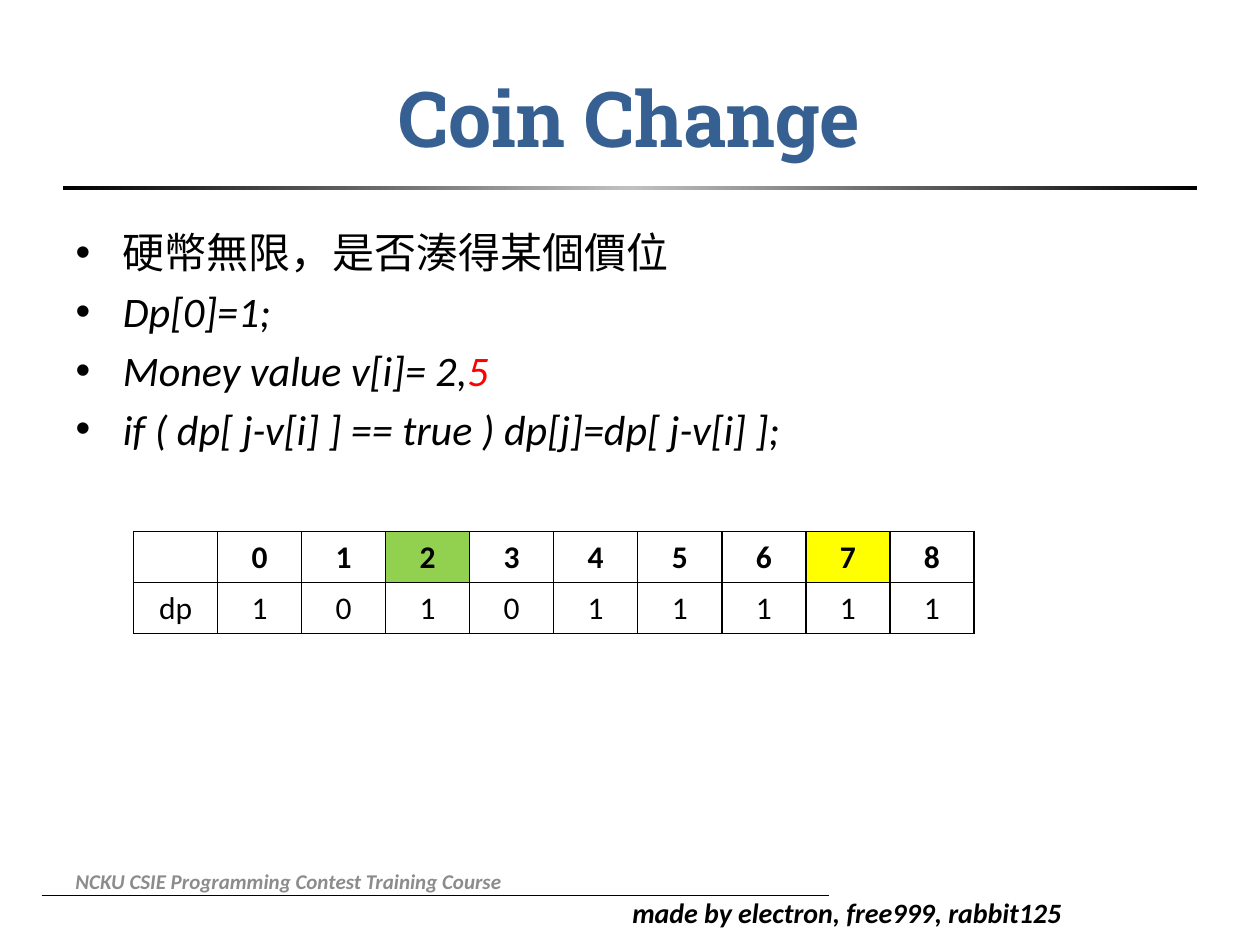
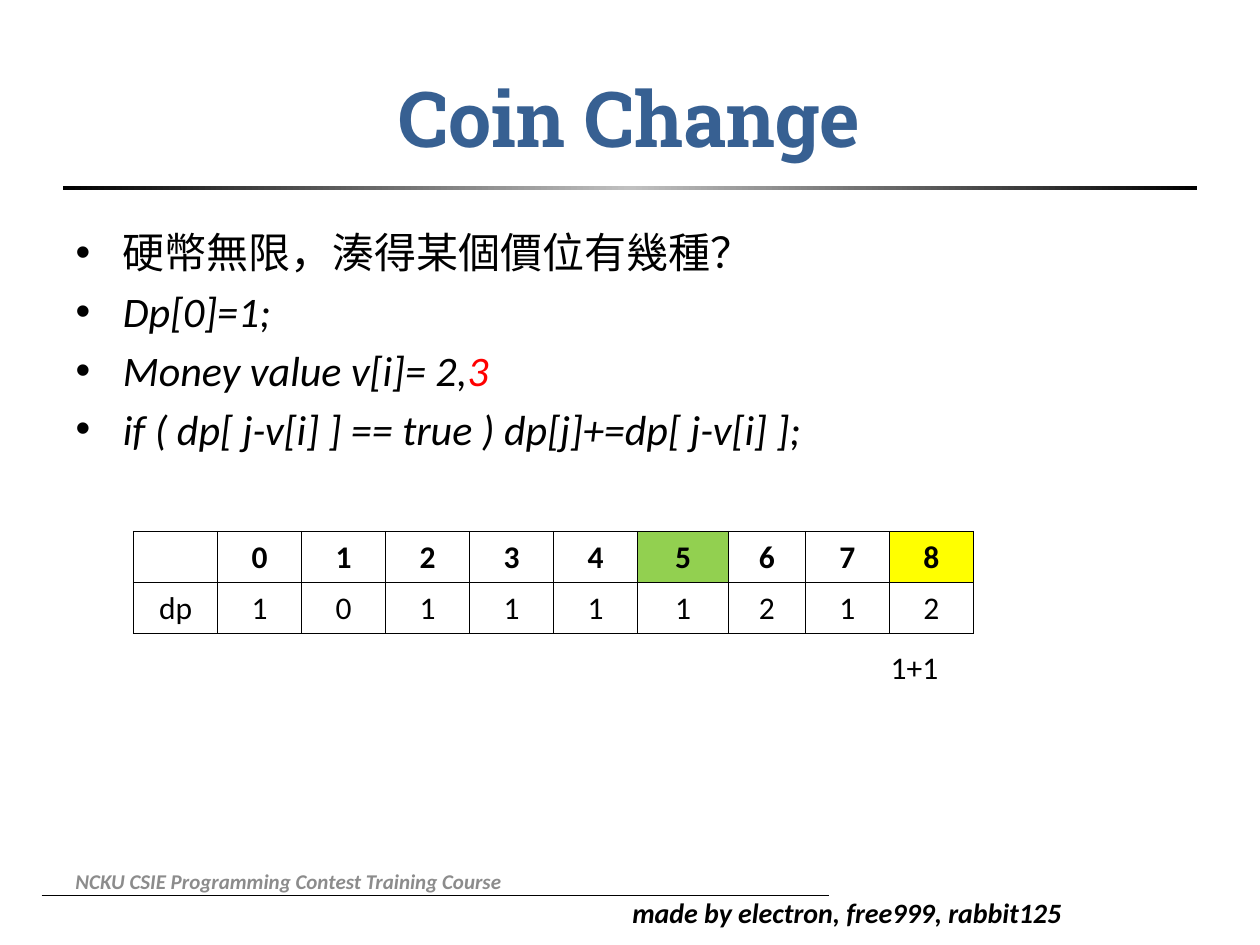
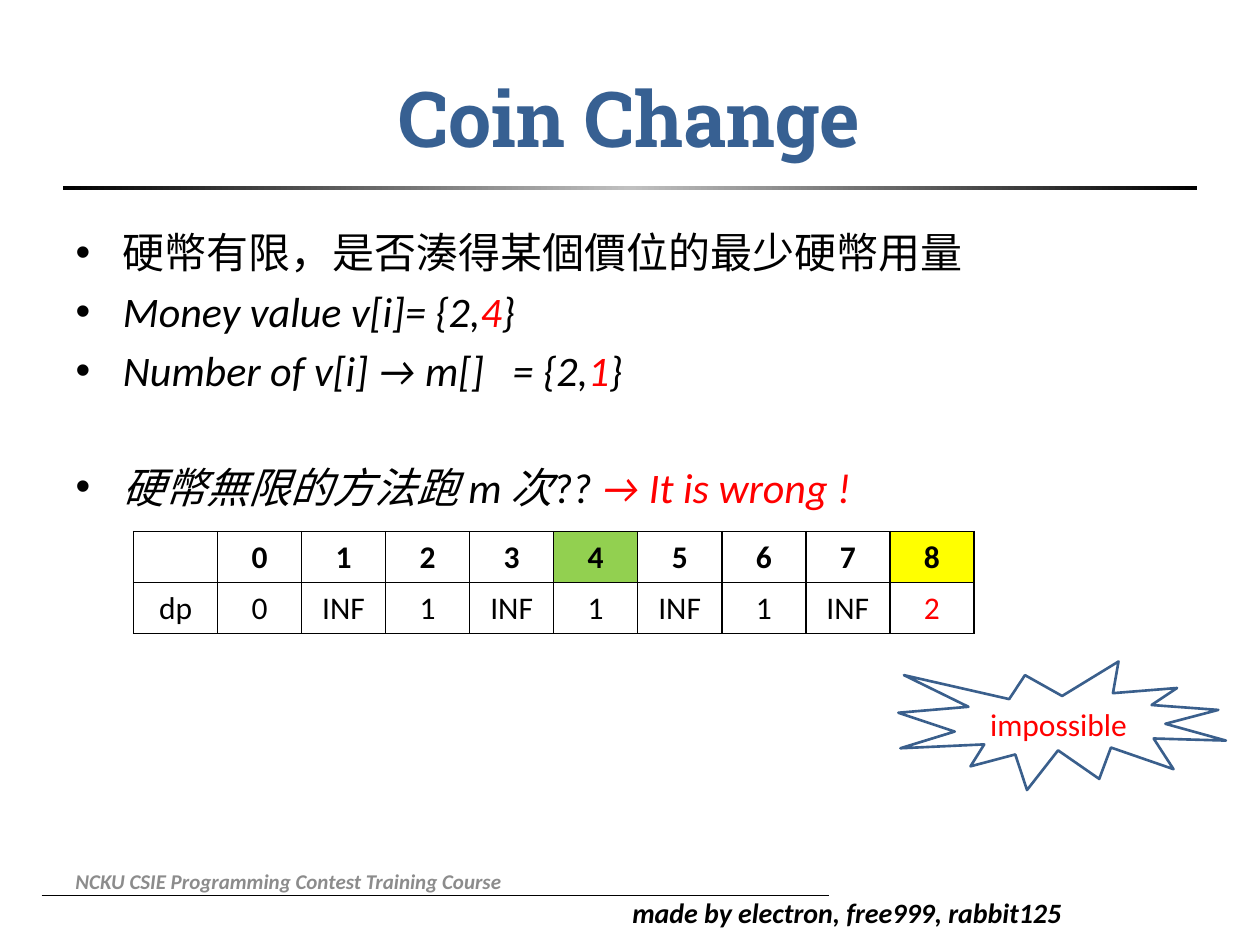
from copy import deepcopy

from lxml import etree
from pptx import Presentation
from pptx.dml.color import RGBColor
from pptx.enum.shapes import MSO_CONNECTOR, MSO_SHAPE
from pptx.enum.text import MSO_ANCHOR, PP_ALIGN
from pptx.oxml.ns import qn
from pptx.util import Inches, Pt

LINE = MSO_CONNECTOR.STRAIGHT
RECT = MSO_SHAPE.RECTANGLE
BURST = MSO_SHAPE.EXPLOSION1
CENTER = PP_ALIGN.CENTER
MIDDLE = MSO_ANCHOR.MIDDLE
TOP = MSO_ANCHOR.TOP

BODY_FONT = "Calibri"
TITLE_FONT = "Roboto Slab"
BLACK = "000000"
WHITE = "FFFFFF"
SILVER = "C0C0C0"
GRAY = "8C8C8C"
BLUE = "376092"
OUTLINE = "3A5F8C"
RED = "FF0000"
GREEN = "92D050"
YELLOW = "FFFF00"

TITLE_BOX = (0.5, 0.3, 9, 1.25)
RULE_BOX = (0.5, 1.48, 9, 0.03)
BODY_BOX = (0.5, 1.75, 9, 4.95)
TABLE_BOX = (1.06, 4.22, 6.67, 0.81)
COURSE_BOX = (0.5, 6.79, 5.05, 0.4)
AUTHORS_BOX = (4.92, 7.06, 3.86, 0.37)
SUM_BOX = (6.97, 5.09, 1.02, 0.4)
BURST_BOX = (7.13, 5.25, 2.6, 1.02)
BURST_TEXT_BOX = (7.76, 5.55, 1.5, 0.4)


def rgb(color):
    return RGBColor.from_string(color)


def emu(box):
    return [Inches(v) for v in box]


def place(sp, box):
    sp.left, sp.top, sp.width, sp.height = emu(box)


def set_font(font, size, color=BLACK, name=BODY_FONT, bold=False, italic=False):
    font.name, font.size = name, Pt(size)
    font.bold, font.italic = bold, italic
    font.color.rgb = rgb(color)


def add_text(s, box, text, size, anchor=TOP, **style):
    tf = s.shapes.add_textbox(*emu(box)).text_frame
    tf.word_wrap = True
    tf.vertical_anchor = anchor
    p = tf.paragraphs[0]
    p.text = text
    set_font(p.font, size, **style)


def add_title(s, box, text):
    sp = s.shapes.title
    place(sp, box)
    sp.text_frame.vertical_anchor = MIDDLE
    p = sp.text_frame.paragraphs[0]
    p.text = text
    p.alignment = CENTER
    set_font(p.font, 44, BLUE, TITLE_FONT, bold=True)


def add_rule(s, box):
    sp = s.shapes.add_shape(RECT, *emu(box))
    sp.shadow.inherit = False
    sp.line.fill.background()
    sp.fill.gradient()
    sp.fill.gradient_angle = 0
    stop_list = next(sp.element.iter(qn("a:gsLst")))
    stop_list.insert(1, deepcopy(stop_list[0]))
    colors = ((0, BLACK), (0.5, SILVER), (1, BLACK))
    for stop, (position, color) in zip(sp.fill.gradient_stops, colors):
        stop.position = position
        stop.color.rgb = rgb(color)


def add_footer(s):
    cxn = s.shapes.add_connector(LINE, *emu((0.33, 7.11, 6.58, 7.11)))
    cxn.line.color.rgb = rgb(BLACK)
    cxn.line.width = Pt(0.5)
    etree.SubElement(cxn.element.spPr, qn("a:effectLst"))
    add_text(s, AUTHORS_BOX, "made by electron, free999, rabbit125", 16,
             bold=True, italic=True)
    add_text(s, COURSE_BOX, "NCKU CSIE Programming Contest Training Course", 12,
             MIDDLE, color=GRAY, bold=True, italic=True)


def add_bullets(s, box, items, gap_before=None):
    sp = s.placeholders[1]
    place(sp, box)
    tf = sp.text_frame
    for i, item in enumerate(items):
        p = tf.paragraphs[0] if i == 0 else tf.add_paragraph()
        set_font(p.font, 24, italic=i > 0)
        if i == gap_before:
            p.space_before = Pt(38)
        for part in item:
            text, color = part if isinstance(part, tuple) else (part, None)
            r = p.add_run()
            r.text = text
            if color:
                r.font.color.rgb = rgb(color)
            if text == " ":
                r.font._element.set("spc", "1080")


def add_borders(cell):
    tcPr = cell._tc.get_or_add_tcPr()
    for i, side in enumerate(("lnL", "lnR", "lnT", "lnB")):
        ln = etree.Element(qn(f"a:{side}"), w=str(Pt(1)))
        fill = etree.SubElement(ln, qn("a:solidFill"))
        etree.SubElement(fill, qn("a:srgbClr"), val=BLACK)
        tcPr.insert(i, ln)


def add_dp_table(s, box, values, source, target, widths=None, last_color=BLACK):
    rows = [["", *map(str, range(len(values)))], ["dp", *values]]
    count = len(rows[0])
    table = s.shapes.add_table(2, count, *emu(box)).table
    table.first_row = table.horz_banding = False
    for i, column in enumerate(table.columns):
        column.width = Inches((widths or {}).get(i, box[2] / count))
    fills = {(0, source + 1): GREEN, (0, target + 1): YELLOW}
    for i, row in enumerate(rows):
        for j, text in enumerate(row):
            cell = table.cell(i, j)
            cell.fill.solid()
            cell.fill.fore_color.rgb = rgb(fills.get((i, j), WHITE))
            add_borders(cell)
            p = cell.text_frame.paragraphs[0]
            p.text = text
            p.alignment = CENTER
            color = last_color if (i, j) == (1, count - 1) else BLACK
            set_font(p.font, 18, color, bold=i == 0)


def add_burst(s, box):
    sp = s.shapes.add_shape(BURST, *emu(box))
    sp.shadow.inherit = False
    sp.fill.background()
    sp.line.color.rgb = rgb(OUTLINE)
    sp.line.width = Pt(1.5)
    add_text(s, BURST_TEXT_BOX, "impossible", 18, color=RED)


def coin_slide(prs, items, gap_before=None, **dp):
    s = prs.slides.add_slide(prs.slide_layouts[1])
    add_footer(s)
    add_rule(s, RULE_BOX)
    add_title(s, TITLE_BOX, "Coin Change")
    add_bullets(s, BODY_BOX, items, gap_before)
    add_dp_table(s, TABLE_BOX, **dp)
    return s


def main():
    prs = Presentation()
    prs.slide_width, prs.slide_height = Inches(10), Inches(7.5)

    coin_slide(prs, [
        ["硬幣無限，是否湊得某個價位"],
        ["Dp[0]=1;"],
        ["Money value v[i]= 2,", ("5", RED)],
        ["if ( dp[ j-v[i] ] == true ) dp[j]=dp[ j-v[i] ];"],
    ], values="101011111", source=2, target=7)

    s = coin_slide(prs, [
        ["硬幣無限，湊得某個價位有幾種？"],
        ["Dp[0]=1;"],
        ["Money value v[i]= 2,", ("3", RED)],
        ["if ( dp[ j-v[i] ] == true ) dp[j]+=dp[ j-v[i] ];"],
    ], values="101111212", source=5, target=8, widths={6: 0.72, 7: 0.61})
    add_text(s, SUM_BOX, "1+1", 18)

    s = coin_slide(prs, [
        ["硬幣有限，是否湊得某個價位的最少硬幣用量"],
        ["Money value v[i]= {2,", ("4", RED), "}"],
        ["Number of v[i] → m[]", " ", "= {2,", ("1", RED), "}"],
        ["硬幣無限的方法跑 m 次?? ", ("→ It is wrong !", RED)],
    ], gap_before=3,
        values=["0", "INF", "1", "INF", "1", "INF", "1", "INF", "2"],
        source=4, target=8, last_color=RED)
    add_burst(s, BURST_BOX)

    prs.save("out.pptx")


if __name__ == "__main__":
    main()
